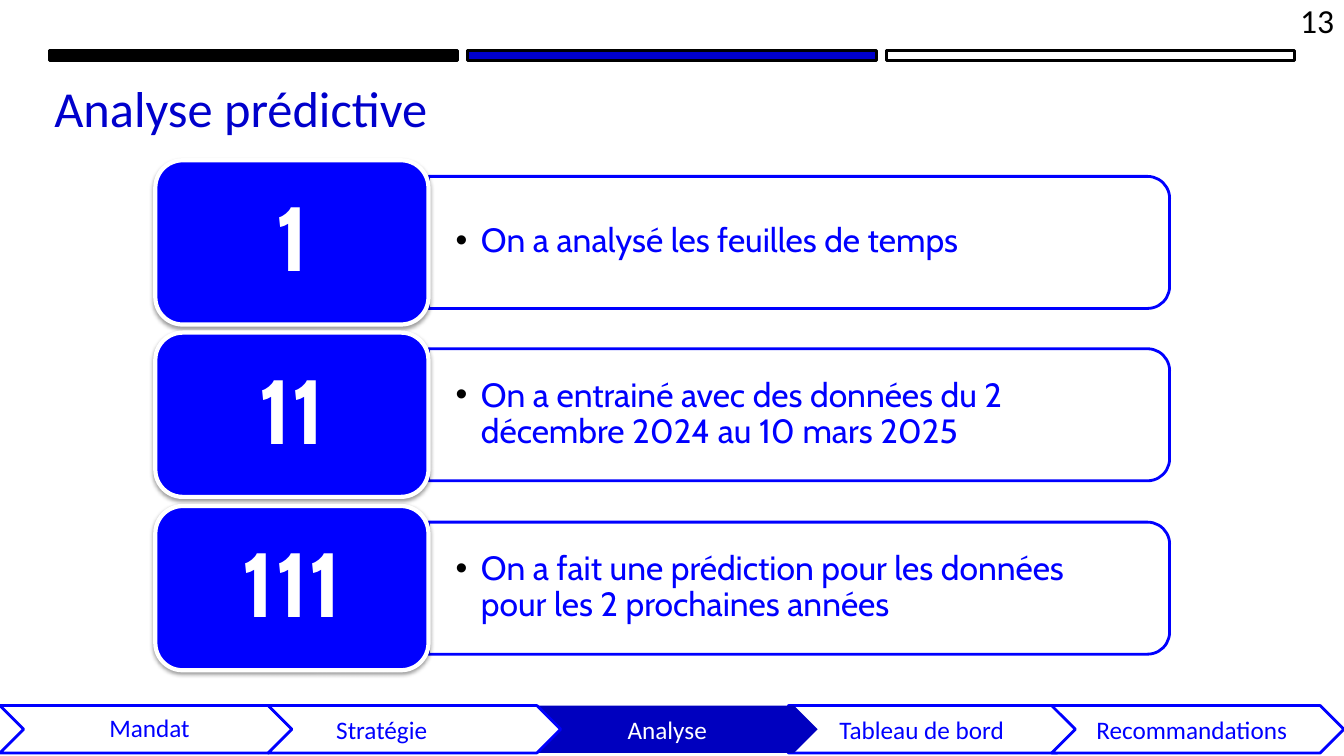
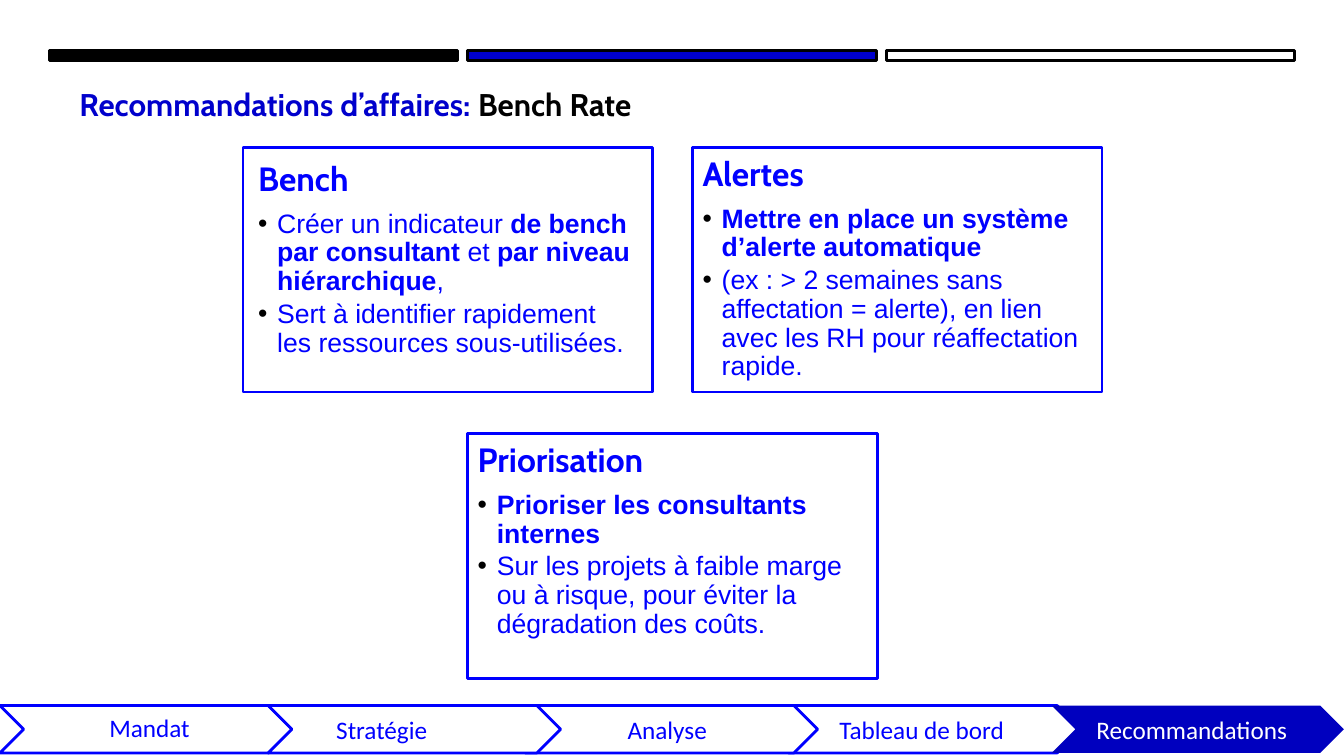
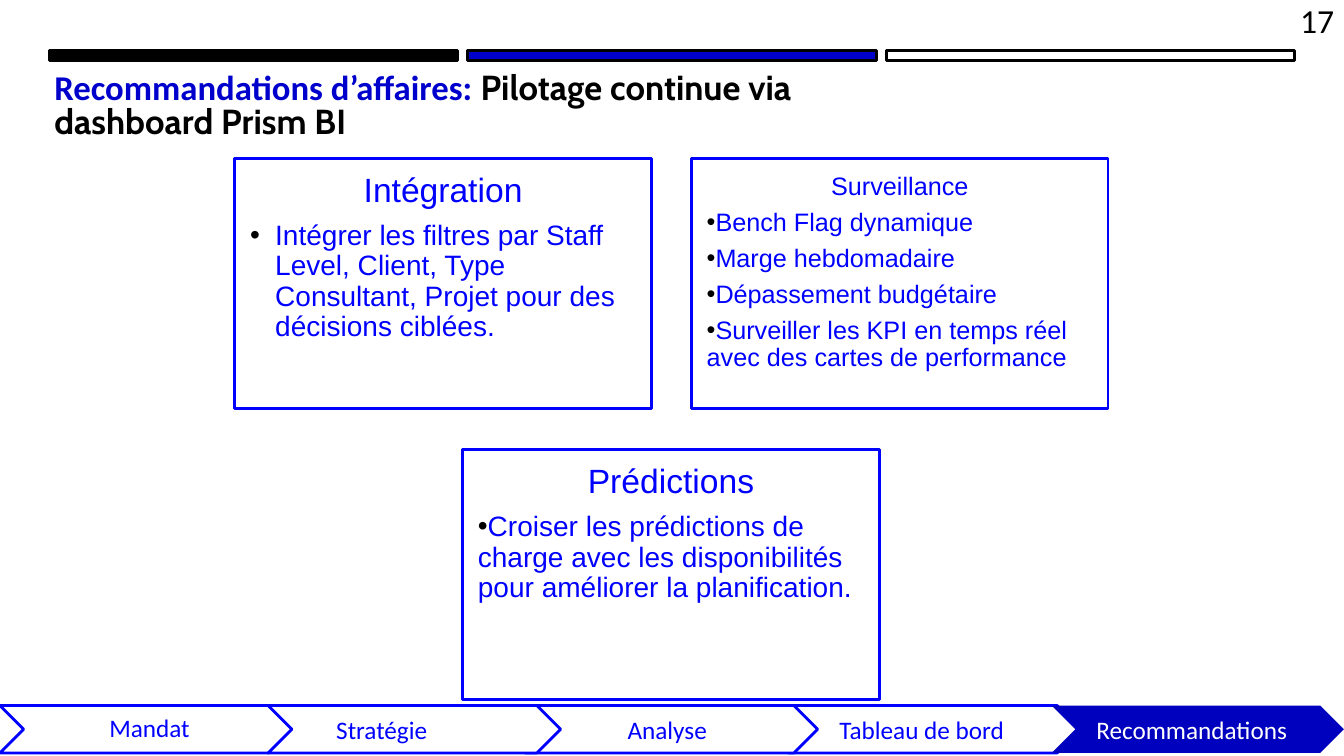
from lxml import etree
from pptx import Presentation
from pptx import util as u
from pptx.dml.color import RGBColor
from pptx.enum import shapes, text
from pptx.oxml.ns import qn

PX = 9144  # one px is a hundredth of an inch
BLUE, TITLE_BLUE, ACTIVE_BLUE = "0000FF", "0000CC", "0000BF"
BLACK, WHITE = "000000", "FFFFFF"
KIND = shapes.MSO_SHAPE
LEFT, CENTER, RIGHT = text.PP_ALIGN.LEFT, text.PP_ALIGN.CENTER, text.PP_ALIGN.RIGHT
TOP, MIDDLE = text.MSO_ANCHOR.TOP, text.MSO_ANCHOR.MIDDLE
color = RGBColor.from_string


def add_box(slide, kind, box, fill=WHITE, line=BLUE, weight=2):
    """Add a preset shape, or a plain text box when kind is None."""
    box = [n * PX for n in box]
    if kind is None:
        return slide.shapes.add_textbox(*box)
    shape = slide.shapes.add_shape(kind, *box)
    shape.shadow.inherit = False
    shape.fill.solid()
    shape.fill.fore_color.rgb = color(fill)
    if line:
        shape.line.color.rgb = color(line)
        shape.line.width = u.Pt(weight)
    else:
        shape.line.fill.background()
    return shape


def write(shape, paragraphs, insets=(10, 5, 10, 5), anchor=MIDDLE):
    """Each paragraph is (runs, style); each run is (text, changes to the style)."""
    frame = shape.text_frame
    frame.word_wrap = True
    frame.vertical_anchor = anchor
    for side, inset in zip(("left", "top", "right", "bottom"), insets):
        setattr(frame, "margin_" + side, inset * PX)
    for i, (runs, style) in enumerate(paragraphs):
        para = frame.add_paragraph() if i else frame.paragraphs[0]
        formats = {"alignment": LEFT, "line_spacing": 1.0,
                   "space_before": u.Pt(0), "space_after": u.Pt(0)}
        for name, value in (formats | style.get("para", {})).items():
            setattr(para, name, value)
        props = para._p.get_or_add_pPr()
        margin, indent = style.get("indent", (0, 0))
        props.set("marL", str(margin * PX))
        props.set("indent", str(indent * PX))
        if style.get("bullet"):
            bullet_color = etree.SubElement(props, qn("a:buClr"))
            etree.SubElement(bullet_color, qn("a:srgbClr"), val=BLACK)
            etree.SubElement(props, qn("a:buFont"), typeface="Arial")
            etree.SubElement(props, qn("a:buChar"), char="•")
        for words, changes in runs:
            look = style | changes
            run = para.add_run()
            run.text = words
            for name, value in {"name": look["font"], "size": u.Pt(look["size"]),
                                "bold": look.get("bold", False)}.items():
                setattr(run.font, name, value)
            run.font.color.rgb = color(look.get("color", BLUE))


prs = Presentation()
prs.slide_width, prs.slide_height = 1333 * PX, 750 * PX

# Shared frame: title runs and style, title width, page number, active step
BOLD = {"bold": True}
PLAIN = {"font": "Calibri", "color": TITLE_BLUE}
pages = [
    ([("Analyse prédictive", {})], PLAIN | {"size": 36}, 919, "13", "Analyse"),
    ([("Recommandations d’affaires: ", {}), ("Bench Rate", {"color": BLACK})],
     {"font": "Cabin", "size": 22.4, "color": TITLE_BLUE, "bold": True, "indent": (50, -25),
      "para": {"line_spacing": 0.8, "space_before": u.Pt(8)}},
     660, None, "Recommandations"),
    ([("Recommandations d’affaires: ", {}),
      ("Pilotage continue via dashboard Prism BI", {"font": "Cabin", "color": BLACK})],
     PLAIN | {"size": 24.8, "bold": True, "para": {"line_spacing": 0.8}},
     870, "17", "Recommandations"),
]
# Steps in stacking order: label, left, text inset, line spacing
steps = [("Mandat", 0, 85, 0.9), ("Tableau de bord", 782, 27, 1.0),
         ("Recommandations", 1043, 21, 1.0), ("Analyse", 521, 78, 1.0),
         ("Stratégie", 266, 44, 1.0)]

slides = []
for title, title_style, title_width, number, active in pages:
    slide = prs.slides.add_slide(prs.slide_layouts[6])
    slides.append(slide)
    for i, fill in enumerate((BLACK, TITLE_BLUE, WHITE)):
        add_box(slide, KIND.RECTANGLE, (49 + 415 * i, 50, 405, 10), fill, BLACK)
    write(add_box(slide, None, (44, 67, title_width, 79)), [(title, title_style)])
    if number:
        write(add_box(slide, None, (1033, 0, 300, 40)),
              [([(number, {})], {"font": "Calibri", "size": 24, "color": BLACK,
                                 "para": {"alignment": RIGHT}})])
    for label, left, inset, spacing in steps:
        on = label == active
        chevron = add_box(slide, KIND.CHEVRON, (left, 700, 290, 47),
                          ACTIVE_BLUE if on else WHITE, None if on else BLUE)
        write(chevron, [([(label, {})], {"font": "Calibri", "size": 18,
                                         "color": WHITE if on else BLUE,
                                         "para": {"line_spacing": spacing}})],
              (inset, 3, 3, 3))
predictive, bench, dashboard = slides

# Analyse prédictive: numbered rows
rows = [("1", "On a analysé les feuilles de temps"),
        ("11", "On a entrainé avec des données du 2 décembre 2024 au 10 mars 2025"),
        ("111", "On a fait une prédiction pour les données pour les 2 prochaines années")]
for i, (count, sentence) in enumerate(rows):
    top = 159 + 343 * i // 2
    outline = add_box(predictive, KIND.ROUND_2_SAME_RECTANGLE, (727, top - 286, 131, 735))
    outline.rotation = 90
    write(add_box(predictive, None, (425, top + 22, 728, 118)),
          [([(sentence, {})], {"font": "Cabin", "size": 24, "bullet": True,
                               "indent": (25, -25), "para": {"line_spacing": 0.9}})],
          (27, 14, 27, 14))
    badge = add_box(predictive, KIND.ROUNDED_RECTANGLE, (154, top, 271, 163), BLUE, WHITE, 3)
    write(badge, [([(count, {})], {"font": "Cabin", "size": 65, "bold": True, "color": WHITE,
                                   "para": {"alignment": CENTER, "line_spacing": 0.9}})],
          (27, 14, 27, 14))
    effects = badge._element.spPr.find(qn("a:effectLst"))
    shadow = etree.SubElement(effects, qn("a:outerShdw"), blurRad=str(u.Pt(3.1)),
                              dist=str(u.Pt(1.6)), dir="5400000", rotWithShape="0")
    shade = etree.SubElement(shadow, qn("a:srgbClr"), val=BLACK)
    etree.SubElement(shade, qn("a:alpha"), val="38000")

# Recommendation cards: inset, heading, bullets
bench_cards = [
    (15, "Bench", [
        [("Créer un indicateur ", {}), ("de bench par consultant ", BOLD), ("et", {}),
         (" par niveau hiérarchique", BOLD), (",", {})],
        [("Sert à identifier rapidement les ressources sous-utilisées.", {})]]),
    (10, "Alertes", [
        [("Mettre en place un système d’alerte automatique", BOLD)],
        [("(ex : > 2 semaines sans affectation = alerte), en lien avec les RH "
          "pour réaffectation rapide.", {})]]),
    (10, "Priorisation", [
        [("Prioriser les consultants internes", BOLD)],
        [("Sur les projets à faible marge ou à risque, pour éviter la dégradation "
          "des coûts.", {})]]),
]
dashboard_cards = [
    (15, "Intégration", [[("Intégrer les filtres par Staff Level, Client, Type Consultant, "
                           "Projet pour des décisions ciblées.", {})]]),
    (15, "Surveillance", [[(item, {})] for item in (
        "Bench Flag dynamique", "Marge hebdomadaire", "Dépassement budgétaire",
        "Surveiller les KPI en temps réel avec des cartes de performance")]),
    (15, "Prédictions", [[("Croiser les prédictions de charge avec les disponibilités pour "
                           "améliorer la planification.", {})]]),
]
# Heading style, then (heading size, bullet size, hanging indent) for each card
bench_head = {"font": "Cabin", "bold": True, "align": LEFT}
dashboard_head = {"font": "Arial", "align": CENTER}
decks = [
    (bench, bench_cards, (241, 146, 406, 243), bench_head, [(24, 19, 19)] * 3),
    (dashboard, dashboard_cards, (233, 157, 413, 248), dashboard_head,
     [(24, 20, 25), (18, 18, 0), (24, 20, 0)]),
]
for slide, cards, (left, top, width, height), head, sizes in decks:
    across, down = width + 40, height + 41
    spots = [(left, top), (left + across, top), (left + across // 2, top + down)]
    for spot, (inset, heading, bullets), (head_size, size, hang) in zip(spots, cards, sizes):
        card = add_box(slide, KIND.RECTANGLE, (*spot, width, height))
        after = 0.15 if hang else 0.35
        head_style = head | {"size": head_size, "para": {
            "alignment": head["align"], "line_spacing": 0.9,
            "space_after": u.Pt(head_size * 0.35)}}
        item_style = {"font": "Arial", "size": size, "bullet": True, "indent": (hang, -hang),
                      "para": {"line_spacing": 0.9, "space_after": u.Pt(size * after)}}
        write(card, [([(heading, {})], head_style)] + [(runs, item_style) for runs in bullets],
              (inset,) * 4, TOP)

prs.save("out.pptx")
